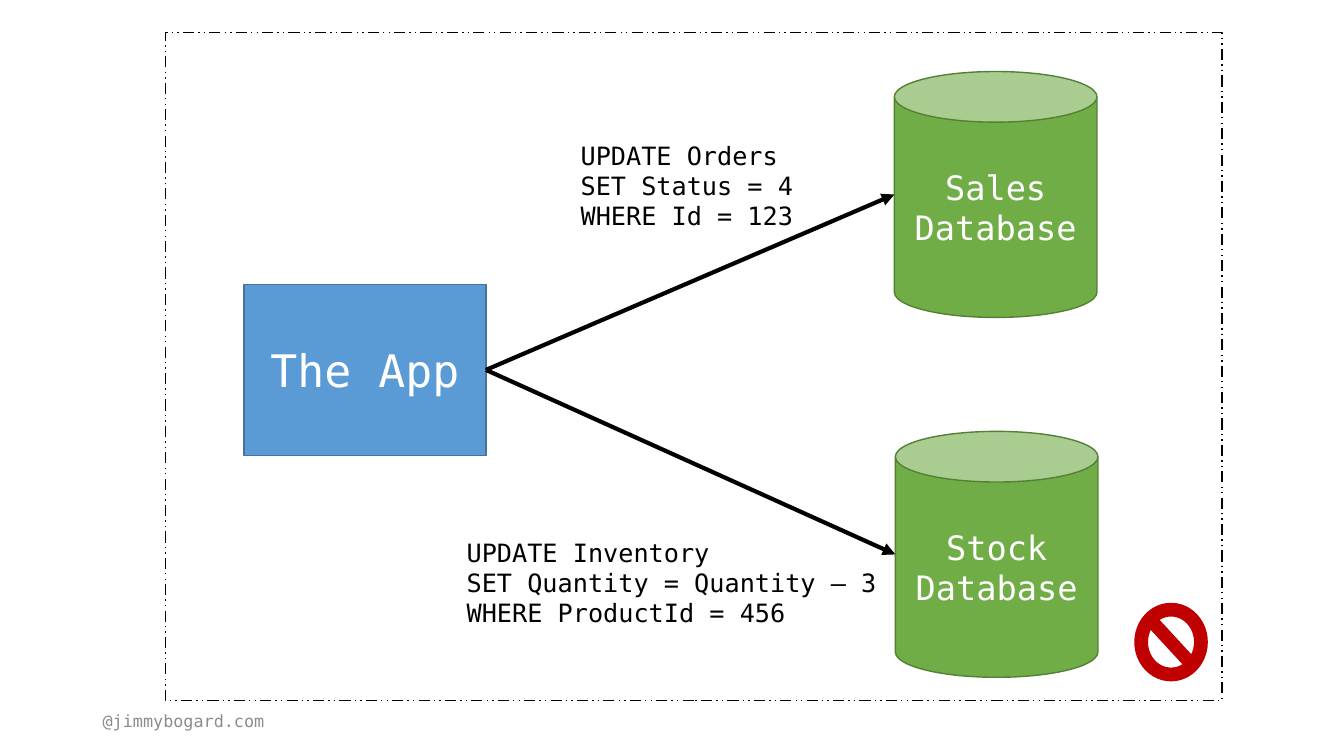
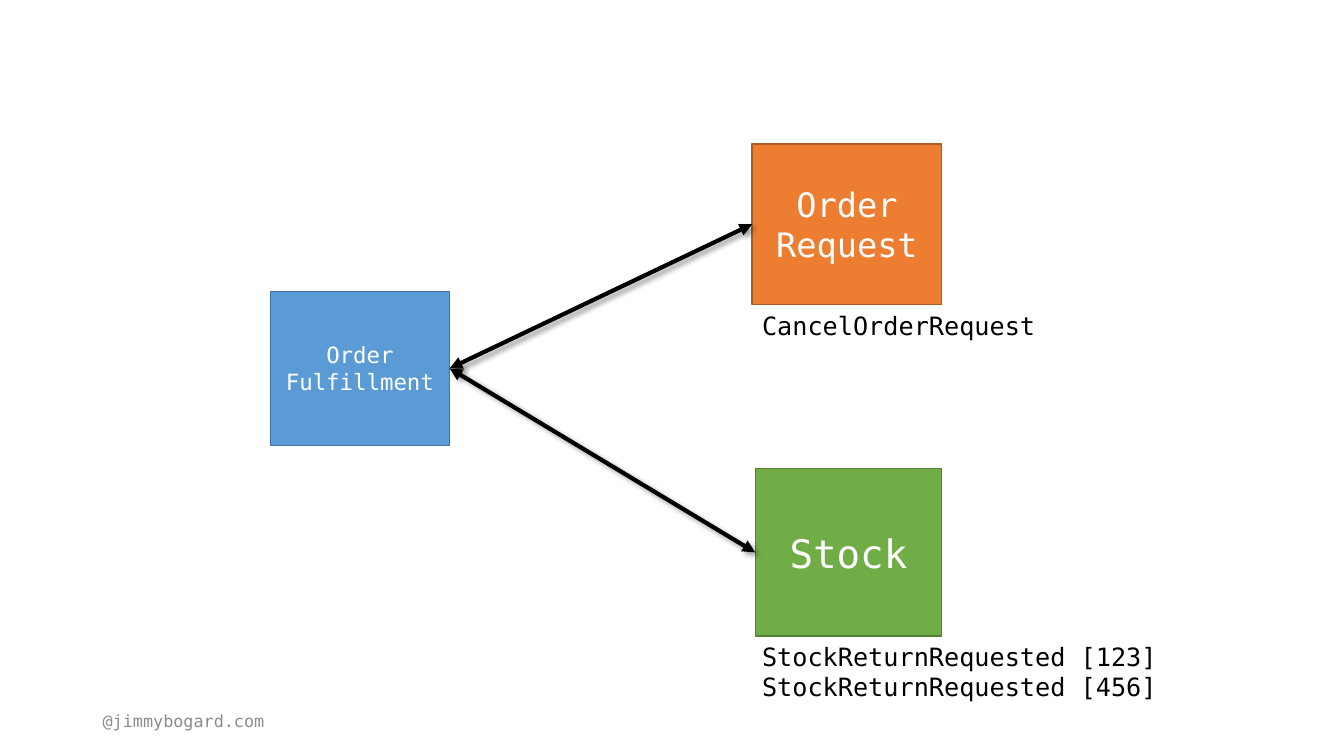
from lxml import etree
from pptx import Presentation
from pptx.dml.color import RGBColor
from pptx.enum import dml, shapes, text
from pptx.oxml import ns
from pptx.util import Inches, Pt

FONT = "DejaVu Sans Mono"
BLACK = RGBColor(0x00, 0x00, 0x00)
WHITE = RGBColor(0xFF, 0xFF, 0xFF)
GRAY = RGBColor(0x8C, 0x8C, 0x8C)
RED = RGBColor(0xC0, 0x00, 0x00)
BLUE = (RGBColor(0x5B, 0x9B, 0xD5), RGBColor(0x43, 0x73, 0x9E))
GREEN = (RGBColor(0x70, 0xAD, 0x47), RGBColor(0x53, 0x80, 0x35))
ORANGE = (RGBColor(0xED, 0x7D, 0x31), RGBColor(0xAF, 0x5C, 0x24))
FRAME = (WHITE, BLACK)

KIND = shapes.MSO_SHAPE
MID = text.MSO_ANCHOR.MIDDLE
LEFT_SITE = {KIND.RECTANGLE: 1, KIND.CAN: 2}
RIGHT_SITE = 3


def write(frame, lines, size, color, align=None):
    frame.word_wrap = True
    for i, line in enumerate(lines):
        para = frame.paragraphs[0] if i == 0 else frame.add_paragraph()
        para.alignment = align
        run = para.add_run()
        run.text = line
        run.font.name = FONT
        run.font.size = Pt(size)
        run.font.color.rgb = color


def add_node(slide, box, kind, colors, label=None, size=24):
    node = slide.shapes.add_shape(kind, *map(Inches, box))
    node.shadow.inherit = False
    fill, edge = colors
    node.fill.solid()
    node.fill.fore_color.rgb = fill
    if edge is None:
        node.line.fill.background()
    else:
        node.line.color.rgb = edge
        node.line.width = Pt(1)
    if label:
        node.text_frame.vertical_anchor = MID
        write(node.text_frame, [label], size, WHITE, text.PP_ALIGN.CENTER)
    return node


def add_note(slide, box, lines, size=18, color=BLACK):
    note = slide.shapes.add_textbox(*map(Inches, box))
    write(note.text_frame, lines, size, color)
    return note


def add_foot(slide):
    foot = add_note(slide, (0.92, 6.95, 3, 0.4), ["@jimmybogard.com"], 12, GRAY)
    foot.text_frame.vertical_anchor = MID


def add_shade(effect):
    shade = etree.SubElement(effect, ns.qn("a:outerShdw"), blurRad=str(Pt(4)),
                             dist=str(Pt(3)), dir="2700000", rotWithShape="0")
    tint = etree.SubElement(shade, ns.qn("a:srgbClr"), val=str(BLACK))
    etree.SubElement(tint, ns.qn("a:alpha"), val="40000")


def add_arrow(slide, start, end, double=False, shaded=False):
    arrow = slide.shapes.add_connector(shapes.MSO_CONNECTOR.STRAIGHT, 0, 0, 0, 0)
    arrow.begin_connect(start, RIGHT_SITE)
    arrow.end_connect(end, LEFT_SITE[end.auto_shape_type])
    arrow.end_x = end.left
    arrow.end_y = end.top + end.height // 2
    arrow.line.color.rgb = BLACK
    arrow.line.width = Pt(3)
    props = arrow._element.spPr.find(ns.qn("a:ln"))
    for tip in ("a:headEnd", "a:tailEnd") if double else ("a:tailEnd",):
        etree.SubElement(props, ns.qn(tip), type="triangle")
    effect = etree.SubElement(arrow._element.spPr, ns.qn("a:effectLst"))
    if shaded:
        add_shade(effect)


def build_update(slide):
    frame = add_node(slide, (1.64, 0.32, 10.48, 6.63), KIND.RECTANGLE, FRAME)
    frame.line.dash_style = dml.MSO_LINE.DASH_DOT_DOT
    stock = add_node(slide, (8.88, 4.28, 2.01, 2.44), KIND.CAN, GREEN, "Stock Database")
    app = add_node(slide, (2.42, 2.82, 2.4, 1.7), KIND.RECTANGLE, BLUE, "The App", 32)
    sales = add_node(slide, (8.87, 0.71, 2.01, 2.44), KIND.CAN, GREEN, "Sales Database")
    for base in (sales, stock):
        add_arrow(slide, app, base)
    add_note(slide, (5.66, 1.34, 2.48, 1.01),
             ["UPDATE Orders", "SET Status = 4", "WHERE Id = 123"])
    add_note(slide, (4.53, 5.28, 4.5, 1.01),
             ["UPDATE Inventory", "SET Quantity = Quantity – 3", "WHERE ProductId = 456"])
    add_node(slide, (11.25, 5.98, 0.73, 0.78), KIND.NO_SYMBOL, (RED, None))


def build_cancel(slide):
    hub = add_node(slide, (2.68, 2.89, 1.78, 1.53), KIND.RECTANGLE, BLUE,
                   "Order Fulfillment", 16)
    order = add_node(slide, (7.46, 1.43, 1.88, 1.59), KIND.RECTANGLE, ORANGE,
                     "Order Request")
    stock = add_node(slide, (7.49, 4.65, 1.85, 1.66), KIND.RECTANGLE, GREEN, "Stock", 28)
    for part in (order, stock):
        add_arrow(slide, hub, part, double=True, shaded=True)
    add_note(slide, (7.46, 6.31, 4.16, 0.71),
             ["StockReturnRequested [123]", "StockReturnRequested [456]"])
    add_note(slide, (7.46, 3.03, 4.16, 0.4), ["CancelOrderRequest"])


def main():
    deck = Presentation()
    deck.slide_width = Inches(13.33)
    deck.slide_height = Inches(7.5)
    blank = deck.slide_layouts.get_by_name("Blank")
    for build in (build_update, build_cancel):
        slide = deck.slides.add_slide(blank)
        build(slide)
        add_foot(slide)
    deck.save("out.pptx")


if __name__ == "__main__":
    main()
